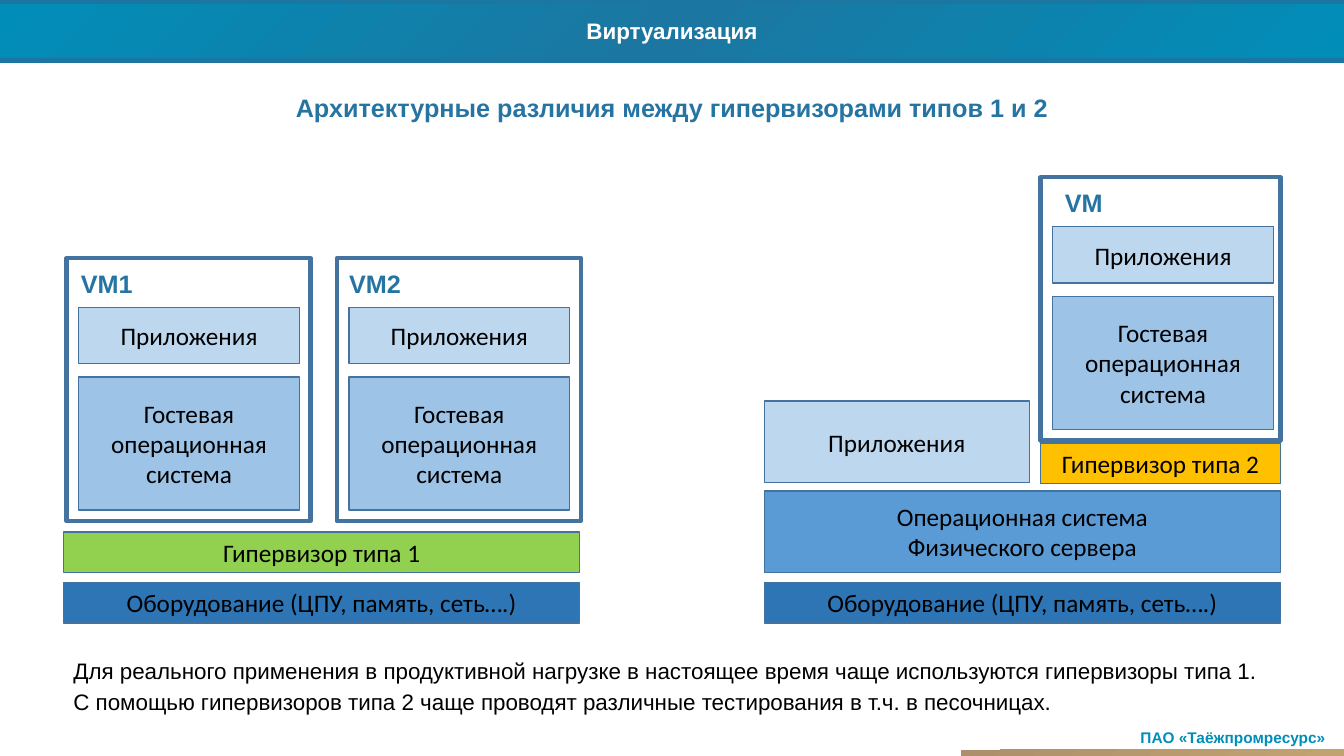
from copy import deepcopy
from pptx import Presentation
from pptx.dml.color import RGBColor
from pptx.enum.shapes import MSO_CONNECTOR, MSO_SHAPE
from pptx.enum.text import MSO_ANCHOR, PP_ALIGN
from pptx.oxml.ns import qn
from pptx.util import Inches, Pt

WIDTH, HEIGHT = 13.33, 7.5
EDGE, BLUE, CYAN, HEAD = "43739E", "1B77A1", "008EB9", "2574A1"
LIGHT, MID = "BDD7EE", "9DC3E6"
APPS, GUEST = "Приложения", "Гостевая операционная система"
HARDWARE = "Оборудование (ЦПУ, память, сеть….)"
STACK_W = 5.12
LEFT, RIGHT = 0.63, 7.58

# text, fill, left, top, width, height
LAYERS = [
    (HARDWARE, "2E75B6", LEFT, 5.78, STACK_W, 0.4),
    (HARDWARE, "2E75B6", RIGHT, 5.78, STACK_W, 0.4),
    ("Гипервизор типа 1", "92D050", LEFT, 5.28, STACK_W, 0.4),
    ("Операционная система\nФизического сервера", "5B9BD5",
     RIGHT, 4.87, STACK_W, 0.81),
    ("Гипервизор типа 2", "FFC000", 10.32, 4.4, 2.38, 0.4),
    (APPS, LIGHT, RIGHT, 3.98, 2.63, 0.81),
]
# name, frame left, top, width, box left, name left
MACHINES = [
    ("VM1", 0.66, 2.56, 2.42, 0.78, 0.68),
    ("VM2", 3.34, 2.56, 2.42, 3.46, 3.34),
    ("VM", 10.32, 1.76, 2.38, 10.44, 10.37),
]
NOTE = (
    "Для реального применения в продуктивной нагрузке в настоящее время "
    "чаще используются гипервизоры типа 1.\n"
    "С помощью гипервизоров типа 2 чаще проводят различные тестирования "
    "в т.ч. в песочницах."
)

deck = Presentation()
deck.slide_width, deck.slide_height = Inches(WIDTH), Inches(HEIGHT)
slide = deck.slides.add_slide(deck.slide_layouts[6])
shapes = slide.shapes


def color(code):
    return RGBColor.from_string(code)


def write(shape, text, size, font, code, bold=False,
          align=PP_ALIGN.CENTER, anchor=MSO_ANCHOR.MIDDLE):
    frame = shape.text_frame
    frame.word_wrap = True
    frame.vertical_anchor = anchor
    for i, line in enumerate(text.split("\n")):
        para = frame.paragraphs[0] if i == 0 else frame.add_paragraph()
        para.alignment = align
        run = para.add_run()
        run.text = line
        run.font.size, run.font.name, run.font.bold = Pt(size), font, bold
        run.font.color.rgb = color(code)
    return frame


def box(left, top, width, height, fill=None, line=None, kind=MSO_SHAPE.RECTANGLE):
    shape = shapes.add_shape(
        kind, Inches(left), Inches(top), Inches(width), Inches(height))
    shape.shadow.inherit = False
    if fill:
        shape.fill.solid()
        shape.fill.fore_color.rgb = color(fill)
    else:
        shape.fill.background()
    if line:
        shape.line.color.rgb = color(EDGE)
        shape.line.width = Pt(line)
    else:
        shape.line.fill.background()
    return shape


def label(text, left, top, width, height, size, code, **style):
    area = shapes.add_textbox(
        Inches(left), Inches(top), Inches(width), Inches(height))
    style = {"anchor": MSO_ANCHOR.TOP, "bold": True, **style}
    return write(area, text, size, "Arial", code, **style)


def blend(shape, codes):
    """Fill with evenly spaced colours running to the lower right."""
    shape.fill.gradient()
    shape.fill.gradient_angle = 315
    stops = shape.fill.gradient_stops
    stops[0].color.rgb = color(codes[0])
    stops[1].color.rgb = color(codes[-1])
    stops[0].position, stops[1].position = 0, 1
    if len(codes) == 3:
        first = shape.element.spPr.find(".//" + qn("a:gs"))
        first.addnext(deepcopy(first))
        middle = shape.fill.gradient_stops[1]
        middle.color.rgb = color(codes[1])
        middle.position = 0.5


def rule(top):
    line = shapes.add_connector(
        MSO_CONNECTOR.STRAIGHT, 0, Inches(top), Inches(WIDTH), Inches(top))
    line.line.color.rgb = color(BLUE)
    line.line.width = Pt(3)
    props = line.element.spPr
    props.append(props.makeelement(qn("a:effectLst"), {}))


banner = box(0, 0.02, WIDTH, 0.56, kind=MSO_SHAPE.ROUNDED_RECTANGLE)
banner.adjustments[0] = 0
blend(banner, [CYAN, BLUE, CYAN])
write(banner, "Виртуализация", 16, "Arial", "FFFFFF", True).word_wrap = False
for top in (0.6, 0.02):
    rule(top)

label("ПАО «Таёжпромресурс»", 11.13, 7.17, 2.2, 0.29, 11, CYAN)
blend(box(9.53, 7.44, 3.8, 0.06), ["AD906B", "C2A271"])
label("Архитектурные различия между гипервизорами типов 1 и 2",
      0, 0.87, WIDTH, 0.4, 18, HEAD)

for text, fill, *place in LAYERS:
    write(box(*place, fill, 1), text, 18, "Calibri", "000000")

for name, left, top, width, inner, start in MACHINES:
    box(left, top, width, 2.61, line=3)
    for text, fill, drop, high in ((APPS, LIGHT, 0.49, 0.56),
                                   (GUEST, MID, 1.18, 1.32)):
        part = box(inner, top + drop, 2.19, high, fill, 1)
        write(part, text, 18, "Calibri", "000000")
    label(name, start, top + 0.05, 0.76, 0.4, 18, HEAD)

note = label(NOTE, 0.14, 6.47, 13.04, 0.67, 16, "000000", bold=False,
             align=PP_ALIGN.JUSTIFY, anchor=MSO_ANCHOR.MIDDLE)
for para in note.paragraphs:
    props = para._p.get_or_add_pPr()
    props.set("marL", "0")
    props.set("indent", str(Inches(0.49)))
note.paragraphs[1].space_before = Pt(3)

deck.save("out.pptx")
